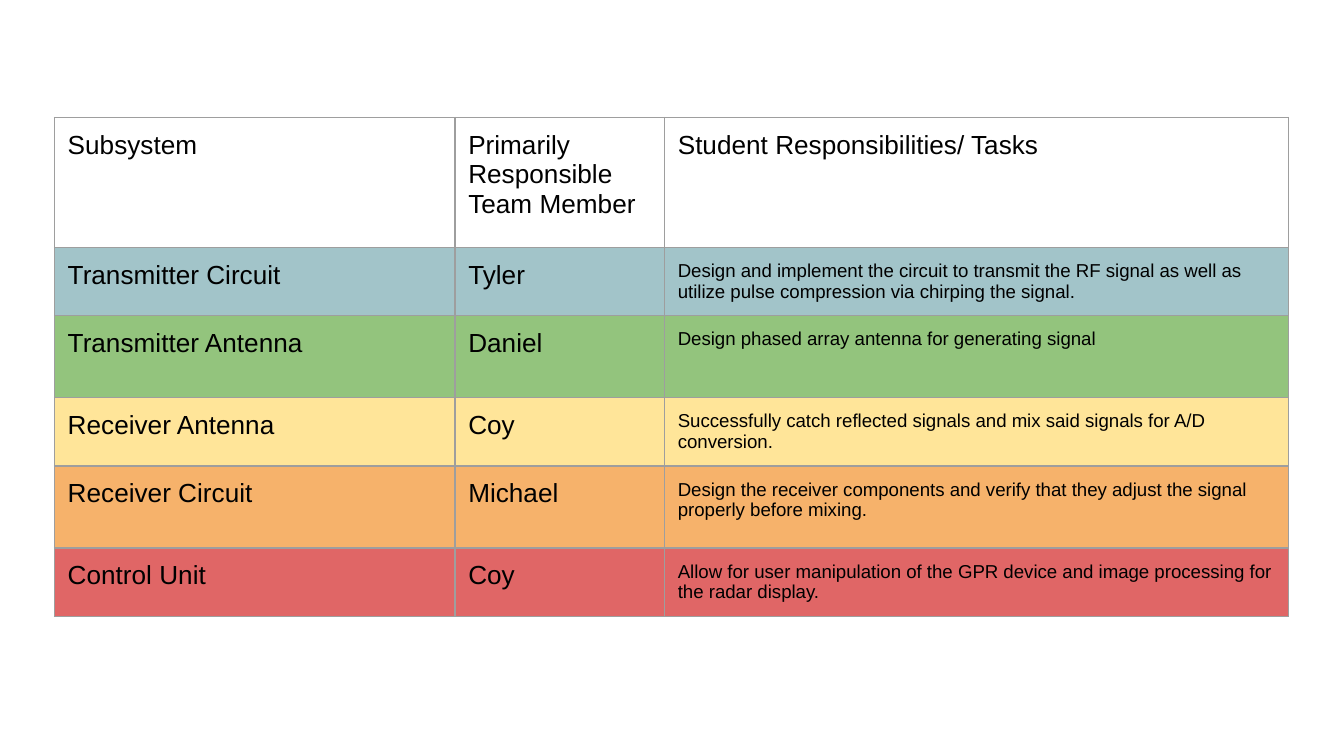
from lxml.etree import SubElement as Sub
from pptx import Presentation as Deck
from pptx.dml.color import RGBColor as RGB
from pptx.oxml.ns import qn
from pptx.util import Cm, Pt

BLACK = RGB(0, 0, 0)
GRAY = RGB(0x9E, 0x9E, 0x9E)
TEAL = RGB(0xA2, 0xC4, 0xC9)
GREEN = RGB(0x93, 0xC4, 0x7D)
YELLOW = RGB(0xFF, 0xE5, 0x99)
ORANGE = RGB(0xF6, 0xB2, 0x6B)
RED = RGB(0xE0, 0x66, 0x66)

# Content: fill, row height in cm, cell texts
ROWS = [
    (None, 2.46, ("Subsystem", "Primarily Responsible Team Member",
                  "Student Responsibilities/ Tasks")),
    (TEAL, 1.17, ("Transmitter Circuit", "Tyler",
                  "Design and implement the circuit to transmit the RF signal "
                  "as well as utilize pulse compression via chirping the signal.")),
    (GREEN, 1.55, ("Transmitter Antenna", "Daniel",
                   "Design phased array antenna for generating signal")),
    (YELLOW, 1.17, ("Receiver Antenna", "Coy",
                    "Successfully catch reflected signals and mix said signals "
                    "for A/D conversion.")),
    (ORANGE, 1.55, ("Receiver Circuit", "Michael",
                    "Design the receiver components and verify that they adjust "
                    "the signal properly before mixing.")),
    (RED, 1.17, ("Control Unit", "Coy",
                 "Allow for user manipulation of the GPR device and image "
                 "processing for the radar display.")),
]
COLS = (7.57, 3.96, 11.79)
LEFT, TOP, PAD = 1.03, 2.22, 0.25


def write(cell, text, size=14, color=BLACK, font="Arial"):
    run = cell.text_frame.paragraphs[0].add_run()
    run.text = text
    run.font.size, run.font.name = Pt(size), font
    run.font.bold = False
    run.font.color.rgb = color


def frame(cell, color=GRAY, width=0.75):
    props = cell._tc.get_or_add_tcPr()
    for side in ("a:lnL", "a:lnR", "a:lnT", "a:lnB"):
        line = Sub(props, qn(side), w=str(Pt(width)))
        Sub(Sub(line, qn("a:solidFill")), qn("a:srgbClr"), val=str(color))


def paint(cell, color):
    if color is None:
        cell.fill.background()
    else:
        cell.fill.solid()
        cell.fill.fore_color.rgb = color


deck = Deck()
deck.slide_width, deck.slide_height = Cm(25.4), Cm(14.29)
slide = deck.slides.add_slide(deck.slide_layouts[6])

# Table grid
high = sum(row[1] for row in ROWS)
table = slide.shapes.add_table(len(ROWS), len(COLS), Cm(LEFT), Cm(TOP),
                               Cm(sum(COLS)), Cm(high)).table
table.first_row = table.horz_banding = False
for col, wide in zip(table.columns, COLS):
    col.width = Cm(wide)

# Cells: task texts below the header are smaller
for r, (fill, tall, texts) in enumerate(ROWS):
    table.rows[r].height = Cm(tall)
    for c, text in enumerate(texts):
        cell = table.cell(r, c)
        cell.margin_left = cell.margin_right = Cm(PAD)
        cell.margin_top = cell.margin_bottom = Cm(PAD)
        frame(cell)
        paint(cell, fill)
        write(cell, text, size=10 if r and c == 2 else 14)

deck.save("out.pptx")
